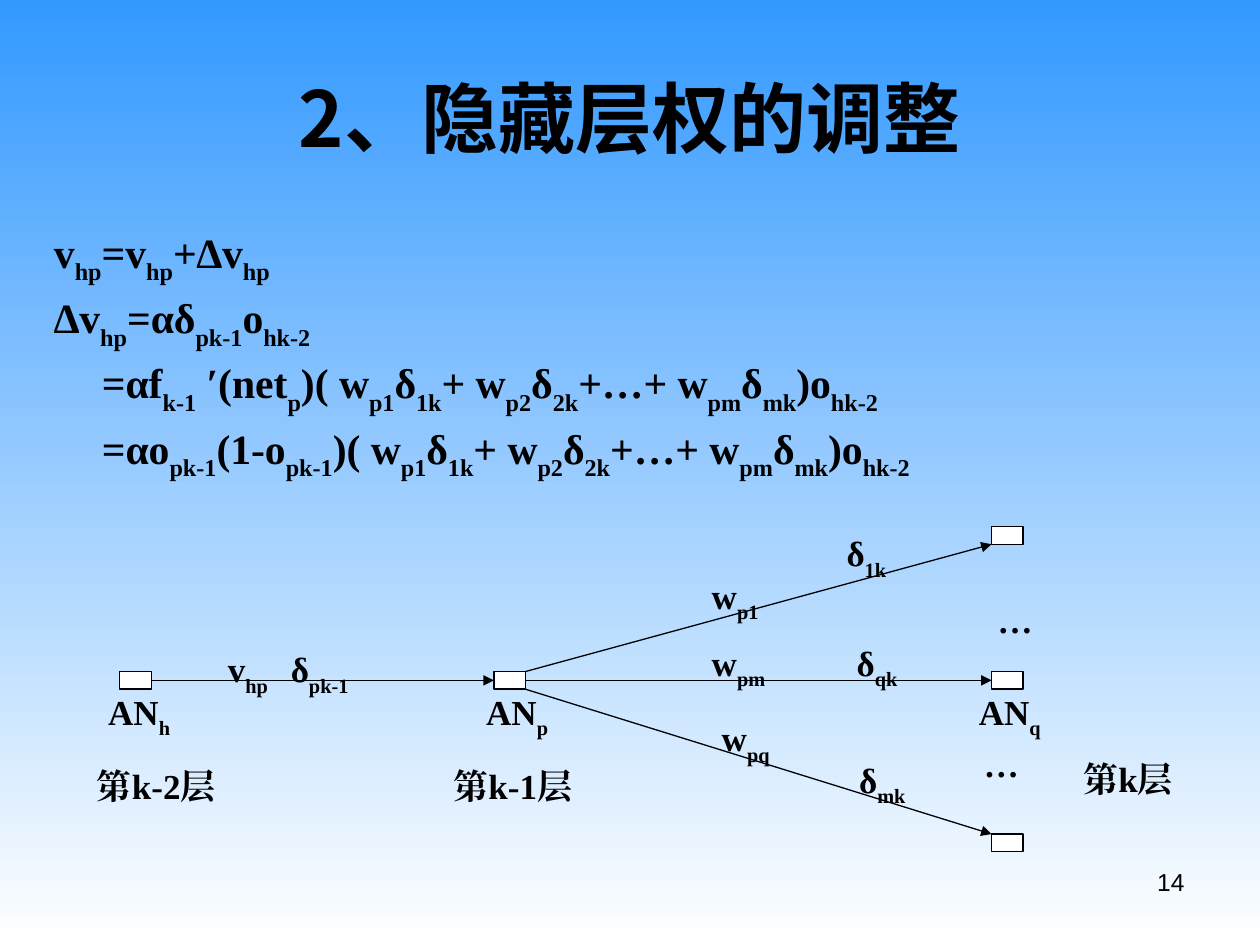
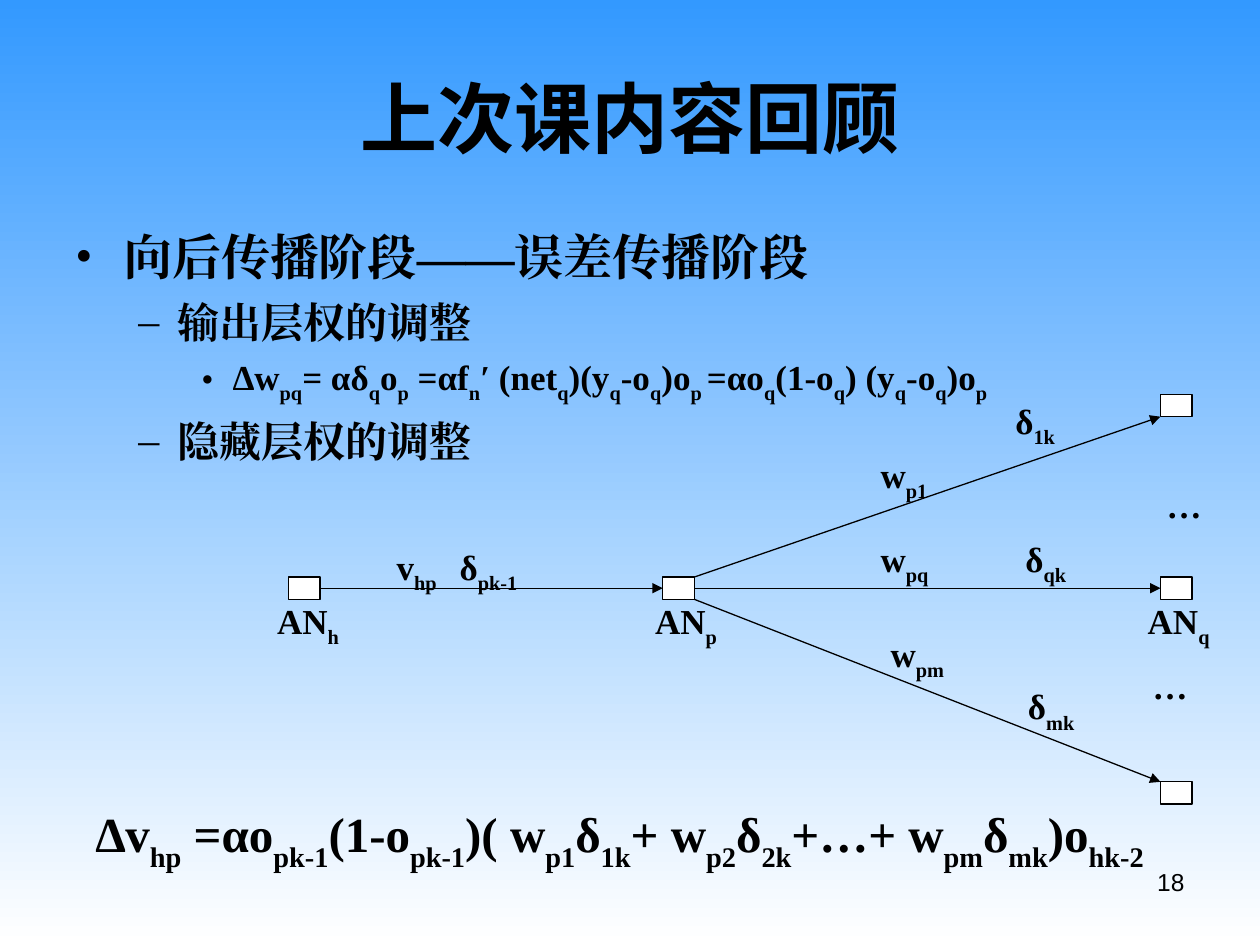
from pptx import Presentation
from pptx.util import Inches, Pt
from pptx.dml.color import RGBColor
from pptx.enum.shapes import MSO_CONNECTOR, MSO_SHAPE
from pptx.enum.text import MSO_ANCHOR, MSO_AUTO_SIZE, PP_ALIGN
from pptx.oxml.ns import qn
from lxml.etree import SubElement

HUES = {"sky": "3399FF", "white": "FFFFFF", "ink": "000000"}
SERIF, SANS, HAN = "Times New Roman", "Arial", "Noto Sans CJK SC"
WIDE, HIGH = 10, 7.5      # grid: one column and one row per inch
NODE = 0.25               # columns taken by a network node
SUM = "(1-o[pk-1])( w[p1]δ[1k]+ w[p2]δ[2k]+…+ w[pm]δ[mk])o[hk-2]"


def hue(name):
    return RGBColor.from_string(HUES[name])


def write(para, text, font=SERIF, size=20, bold=True, align=None,
          before=0, line=None, indent=None, hang=0, mark=None):
    """Fill a paragraph; text in square brackets becomes subscript."""
    props = para._p.get_or_add_pPr()
    if indent is not None:
        props.set("marL", str(Inches(indent)))
        props.set("indent", str(-Inches(hang)))
    para.alignment = align
    para.space_before = Pt(before)
    if line:
        para.line_spacing = line
    if mark:
        SubElement(props, qn("a:buFont"), typeface=SERIF)
        SubElement(props, qn("a:buChar"), char=mark)
    for i, part in enumerate(text.replace("]", "[").split("[")):
        if not part:
            continue
        run = para.add_run()
        run.text = part
        run.font.name, run.font.size, run.font.bold = font, Pt(size), bold
        run.font.color.rgb = hue("ink")
        SubElement(run.font._element, qn("a:ea"), typeface=font)
        if i % 2:
            run.font._element.set("baseline", "-30000")


class Deck:
    def __init__(self):
        self.prs = Presentation()
        self.prs.slide_width, self.prs.slide_height = Inches(WIDE), Inches(HIGH)
        fill = self.prs.slide_master.background.fill
        fill.gradient()
        fill.gradient_angle = 270
        for stop, name, at in zip(fill.gradient_stops, ("sky", "white"), (0, 1)):
            stop.color.rgb, stop.position = hue(name), at
        self.slide = None

    def page(self, title, number, font):
        """Start a slide with its title and page number."""
        self.slide = self.prs.slides.add_slide(self.prs.slide_layouts[5])
        head = self.slide.shapes.title
        head.left, head.top = Inches(0.5), Inches(0.3)
        head.width, head.height = Inches(WIDE - 1), Inches(1.25)
        head.text_frame.vertical_anchor = MSO_ANCHOR.MIDDLE
        write(head.text_frame.paragraphs[0], title, font=font, size=44,
              align=PP_ALIGN.CENTER)
        self.text(7.17, 6.83, 2.33, 0.52, str(number), font=SANS, size=14,
                  bold=False, align=PP_ALIGN.RIGHT)

    def frame(self, x, y, w, h, wrap=True):
        box = self.slide.shapes.add_textbox(*map(Inches, (x, y, w, h)))
        box.text_frame.word_wrap = wrap
        box.text_frame.auto_size = MSO_AUTO_SIZE.NONE
        return box.text_frame

    def text(self, x, y, w, h, text, wrap=True, **style):
        write(self.frame(x, y, w, h, wrap).paragraphs[0], text, **style)

    def body(self, x, y, w, h, lines):
        """Write (text, format) pairs as paragraphs of one box."""
        frame = self.frame(x, y, w, h)
        for i, (text, style) in enumerate(lines):
            para = frame.add_paragraph() if i else frame.paragraphs[0]
            write(para, text, **(style if i else {**style, "before": 0}))

    def node(self, x, y, h):
        box = self.slide.shapes.add_shape(
            MSO_SHAPE.RECTANGLE, *map(Inches, (x, y, NODE, h)))
        box.shadow.inherit = False
        box.fill.solid()
        box.fill.fore_color.rgb = hue("white")
        box.line.color.rgb, box.line.width = hue("ink"), Pt(0.75)
        return box

    def arrow(self, start, end):
        """Draw an arrow between two (x, y) points in EMU."""
        line = self.slide.shapes.add_connector(
            MSO_CONNECTOR.STRAIGHT, *start, *end)
        line.line.color.rgb, line.line.width = hue("ink"), Pt(0.75)
        SubElement(line.line._get_or_add_ln(), qn("a:tailEnd"), type="triangle")
        SubElement(line._element.spPr, qn("a:effectLst"))
        return line

    def join(self, one, two):
        """Link the right side of one node to the left side of another."""
        line = self.arrow((one.left, one.top), (two.left, two.top))
        line.begin_connect(one, 3)
        line.end_connect(two, 1)

    def net(self, left, mid, zoom, near, low):
        """Draw the network; rows are counted from the middle nodes' top."""
        def spot(x, y):
            return left + x, mid + y * zoom

        tall = 0.14 * zoom
        src, hub, top, out, end = [
            self.node(*spot(x, y), tall) for x, y in
            ((0, 0), (2.97, 0), (6.92, -1.15), (6.92, 0), (6.92, 1.29))]

        # Arrows
        self.join(src, hub)
        self.join(hub, out)
        edge = hub.left + hub.width
        self.arrow((edge, hub.top), (top.left, top.top + top.height))
        self.arrow((edge, hub.top + hub.height), (end.left, end.top))

        # Labels
        for x, y, w, text in (
                (-0.19, 0.1, 0.69, "AN[h]"), (2.81, 0.1, 0.69, "AN[p]"),
                (6.72, 0.1, 0.69, "AN[q]"),
                (0.76, -0.24, 1.66, "v[hp\t]δ[pk-1]"),
                (5.67, -1.16, 0.51, "δ[1k]"), (4.6, -0.82, 0.57, "w[p1]"),
                (4.6, -0.29, 0.6, near), (5.75, -0.29, 0.52, "δ[qk]"),
                (4.68, 0.31, 0.6, low), (5.77, 0.64, 0.57, "δ[mk]"),
                (6.76, 0.51, 0.48, "…"), (6.87, -0.63, 0.48, "…")):
            self.text(*spot(x, y), w, 0.5, text, wrap=False)


def hidden(deck):
    """Adjusting the hidden layer's weights."""
    deck.page("2、隐藏层权的调整", 14, HAN)
    style = dict(size=23.8, before=7, line=0.9, indent=0.38, hang=0.38,
                 align=PP_ALIGN.JUSTIFY)
    lines = ("v[hp]=v[hp]+∆v[hp]", "∆v[hp]=αδ[pk-1]o[hk-2]",
             "\t=αf[k-1] ′(net[p])" + SUM[SUM.index("( w"):],
             "\t=αo[pk-1]" + SUM)
    deck.body(0.33, 1.75, 9.42, 2.33, [(text, style) for text in lines])
    deck.net(0.95, 5.33, 1, "w[pm]", "w[pq]")
    for x, y, w, text in ((0.67, 6.02, 1.15, "第k-2层"),
                          (3.5, 6.02, 1.15, "第k-1层"),
                          (8.5, 5.96, 0.95, "第k层")):
        deck.text(x, y, w, 0.77, text)


def review(deck):
    """Review of the last lesson."""
    deck.page("上次课内容回顾", 18, SANS)
    main = dict(size=28, before=7, indent=0.38, hang=0.38, mark="•")
    sub = dict(size=24, before=6, indent=0.81, hang=0.31, mark="–")
    leaf = dict(size=20, before=5, indent=1.25, hang=0.25, mark="•")
    deck.body(0.5, 1.75, 9, 2.25, (
        ("向后传播阶段——误差传播阶段", main),
        ("输出层权的调整", sub),
        ("∆w[pq]= αδ[q]o[p] =αf[n]′ (net[q])(y[q]-o[q])o[p ]"
         "=αo[q](1-o[q]) (y[q]-o[q])o[p]", leaf),
        ("隐藏层权的调整", sub)))
    deck.net(2.29, 4.58, 1.26, "w[pq]", "w[pm]")
    deck.text(0.66, 6.33, 8.52, 0.65, "∆v[hp] =αo[pk-1]" + SUM,
              wrap=False, size=28)


def main():
    deck = Deck()
    hidden(deck)
    review(deck)
    deck.prs.save("out.pptx")


if __name__ == "__main__":
    main()
